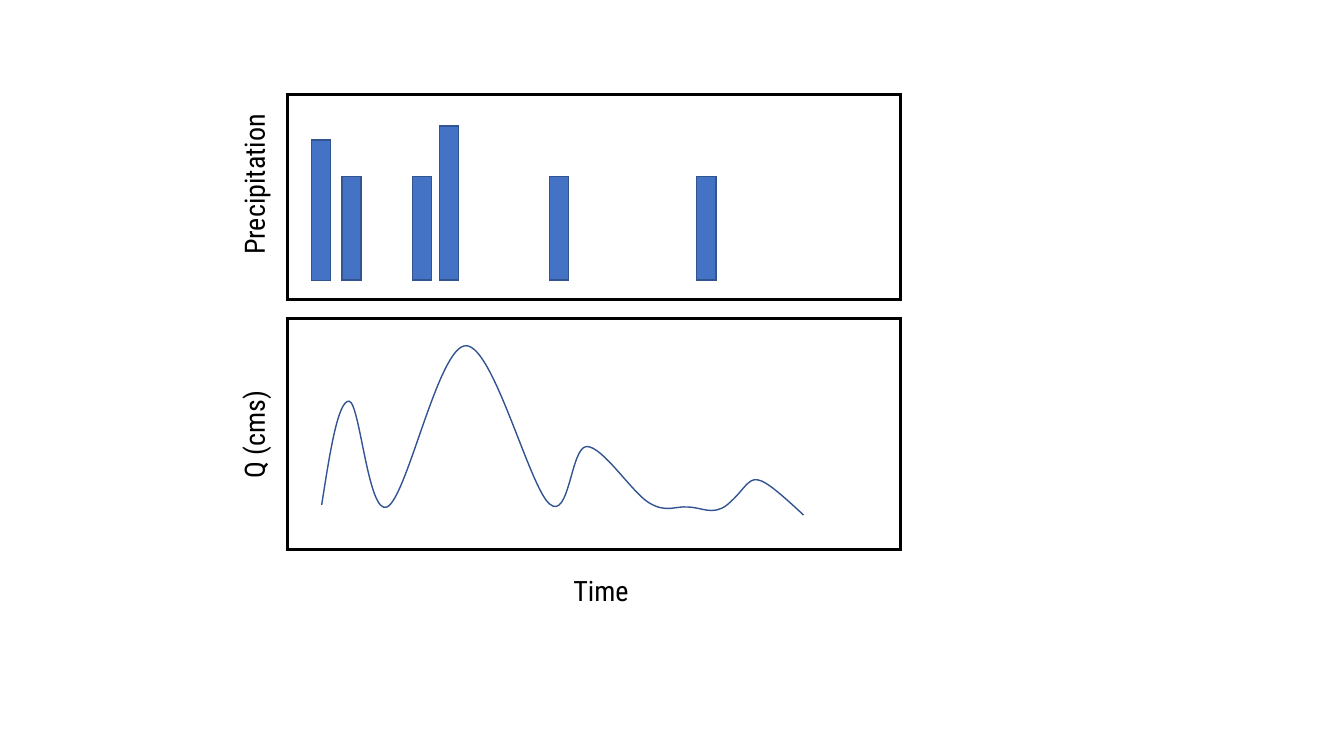
from lxml import etree
from pptx import Presentation
from pptx import util as u
from pptx.dml.color import RGBColor
from pptx.enum import shapes, text
from pptx.oxml import ns

COLORS = {"ink": "000000", "blue": "4472C4", "blue_edge": "325491"}
FONT = "Roboto Condensed"
LABEL_SIZE = (1.89, 0.44)
BAR_WIDTH = 0.19
BAR_BASE = 1.84

# Bar left edge and height, in inches within the precipitation panel
BARS = [(0.24, 1.39), (0.54, 1.03), (1.51, 1.53),
        (1.24, 1.03), (2.6, 1.03), (4.06, 1.03)]

# Flow curve within its panel: start, then two control points and an end each
FLOW_START = (0.34, 1.85)
FLOW_CURVES = [
    ((0.42, 1.34), (0.5, 0.82), (0.61, 0.82)),
    ((0.72, 0.82), (0.8, 1.96), (0.99, 1.87)),
    ((1.19, 1.77), (1.5, 0.27), (1.77, 0.27)),
    ((2.04, 0.26), (2.4, 1.67), (2.6, 1.84)),
    ((2.8, 2.01), (2.81, 1.27), (2.97, 1.27)),
    ((3.13, 1.27), (3.42, 1.73), (3.59, 1.83)),
    ((3.76, 1.93), (3.84, 1.86), (3.97, 1.87)),
    ((4.1, 1.87), (4.22, 1.96), (4.36, 1.85)),
    ((4.66, 1.6), (4.53, 1.4), (5.12, 1.95)),
]


def style(shape, line, weight, fill=None):
    """Set a mitred outline and the fill, without shadow."""
    shape.shadow.inherit = False
    shape.line.color.rgb = RGBColor.from_string(COLORS[line])
    shape.line.width = u.Pt(weight)
    outline = shape._element.spPr.find(ns.qn("a:ln"))
    etree.SubElement(outline, ns.qn("a:miter"), lim="800000")
    if fill:
        shape.fill.solid()
        shape.fill.fore_color.rgb = RGBColor.from_string(COLORS[fill])
    else:
        shape.fill.background()


def add_rectangle(page, box, line, weight, fill=None):
    """Draw a rectangle in box (left, top, width, height)."""
    rectangle = page.shapes.add_shape(
        shapes.MSO_SHAPE.RECTANGLE, *map(u.Inches, box))
    style(rectangle, line, weight, fill)


def add_label(page, center_x, center_y, words, rotation=0):
    """Centre an axis label on a point."""
    width, height = LABEL_SIZE
    label = page.shapes.add_textbox(
        u.Inches(center_x - width / 2), u.Inches(center_y - height / 2),
        u.Inches(width), u.Inches(height))
    label.rotation = rotation
    frame = label.text_frame
    frame.word_wrap = True
    frame.auto_size = text.MSO_AUTO_SIZE.SHAPE_TO_FIT_TEXT
    para = frame.paragraphs[0]
    para.alignment = text.PP_ALIGN.CENTER
    span = para.add_run()
    span.text = words
    span.font.name = FONT
    span.font.size = u.Pt(20)
    span.font.color.rgb = RGBColor.from_string(COLORS["ink"])


def add_panel(page, box, words, label_y):
    """Draw a panel frame with its vertical axis label."""
    left, top = box[:2]
    add_rectangle(page, box, "ink", 2.25)
    add_label(page, left - 0.33, top + label_y, words, 270)


def add_precipitation(page, box):
    """Draw the precipitation panel and its bars."""
    left, top = box[:2]
    add_panel(page, box, "Precipitation", 0.89)
    for offset, height in BARS:
        bar = (left + offset, top + BAR_BASE - height, BAR_WIDTH, height)
        add_rectangle(page, bar, "blue_edge", 1, "blue")


def add_flow_curve(page, left, top):
    """Join the curve ends, then bend each segment into a cubic curve."""
    def place(point):
        return u.Inches(left + point[0]), u.Inches(top + point[1])

    builder = page.shapes.build_freeform(*place(FLOW_START))
    builder.add_line_segments(
        [place(curve[-1]) for curve in FLOW_CURVES], close=False)
    flow = builder.convert_to_shape()
    segments = list(flow._element.iter(ns.qn("a:lnTo")))
    for segment, curve in zip(segments, FLOW_CURVES):
        cubic = etree.Element(ns.qn("a:cubicBezTo"))
        for x, y in map(place, curve):
            etree.SubElement(cubic, ns.qn("a:pt"),
                             x=str(x - flow.left), y=str(y - flow.top))
        segment.getparent().replace(segment, cubic)
    style(flow, "blue_edge", 1)


def add_discharge(page, box):
    """Draw the discharge panel, its flow curve and the time label."""
    left, top, width, height = box
    add_panel(page, box, "Q (cms)", 1.15)
    add_flow_curve(page, left, top)
    add_label(page, left + width / 2 + 0.07, top + height + 0.41, "Time")


deck = Presentation()
deck.slide_width = u.Inches(13.33)
deck.slide_height = u.Inches(7.5)
page = deck.slides.add_slide(deck.slide_layouts[6])
add_precipitation(page, (2.85, 0.94, 6.08, 2.03))
add_discharge(page, (2.85, 3.16, 6.08, 2.29))
deck.save("out.pptx")
